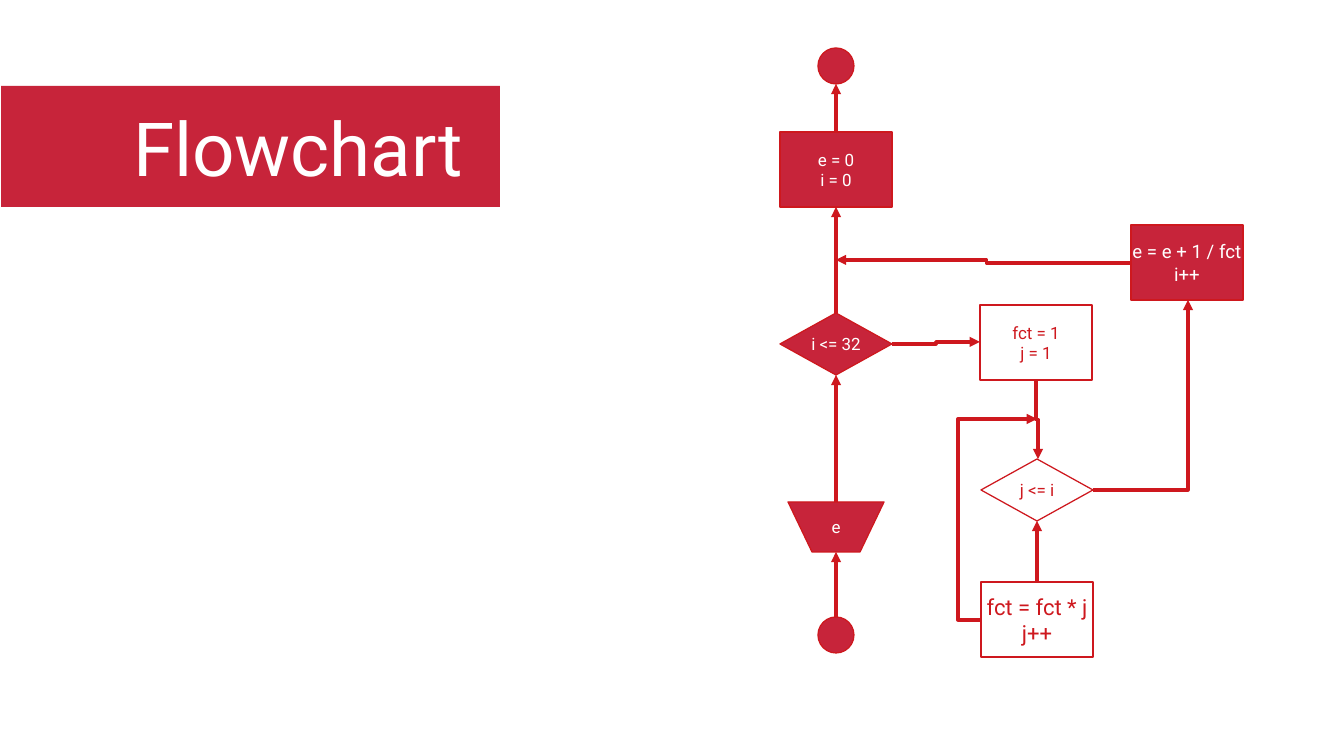
from dataclasses import dataclass

from lxml.etree import SubElement
from pptx import Presentation
from pptx.dml.color import RGBColor
from pptx.enum.shapes import MSO_CONNECTOR, MSO_SHAPE
from pptx.enum.text import MSO_ANCHOR, PP_ALIGN
from pptx.oxml.ns import qn
from pptx.util import Pt

EMU_PER_PX = 7495
MAIN_AXIS = 836
INNER_AXIS = 1037
NODE_WIDTH = 112
BOX_HEIGHT = 75
DIAMOND_HEIGHT = 62
CIRCLE_SIZE = 36


@dataclass(frozen=True)
class Theme:
    red: RGBColor = RGBColor(0xC7, 0x24, 0x3A)
    outline: RGBColor = RGBColor(0xCE, 0x18, 0x1E)
    white: RGBColor = RGBColor(0xFF, 0xFF, 0xFF)
    font: str = "Roboto"
    title: int = 44
    small: int = 10
    medium: int = 11
    large: int = 13


THEME = Theme()


def px(value):
    return round(value * EMU_PER_PX)


def apply_format(target, values):
    for attribute, value in values.items():
        setattr(target, attribute, value)


def write_lines(node, lines, size, color, align=PP_ALIGN.CENTER, **frame_format):
    frame = node.text_frame
    apply_format(frame, {"word_wrap": False, "vertical_anchor": MSO_ANCHOR.MIDDLE,
                         **frame_format})
    frame.text = "\n".join(lines)
    for paragraph in frame.paragraphs:
        paragraph.alignment = align
        apply_format(paragraph.font, {"name": THEME.font, "size": Pt(size)})
        paragraph.font.color.rgb = color


def paint(node, filled=True):
    node.shadow.inherit = False
    if filled:
        node.fill.solid()
        node.fill.fore_color.rgb = THEME.red
    else:
        node.fill.background()
    node.line.color.rgb = THEME.outline
    node.line.width = 0


def add_title(slide, text):
    banner = slide.shapes.add_shape(MSO_SHAPE.RECTANGLE, px(1), px(86), px(499), px(121))
    paint(banner)
    banner.line.fill.background()
    write_lines(banner, [text], THEME.title, THEME.white, PP_ALIGN.LEFT,
                word_wrap=True, margin_left=px(132), margin_right=0,
                margin_top=0, margin_bottom=0)


def add_node(slide, kind, center, top, width, height, lines=(), size=THEME.small, filled=True):
    node = slide.shapes.add_shape(kind, px(center - width / 2), px(top), px(width), px(height))
    paint(node, filled)
    if lines:
        write_lines(node, lines, size, THEME.white if filled else THEME.outline)


def add_box(slide, center, top, lines, **look):
    add_node(slide, MSO_SHAPE.RECTANGLE, center, top, NODE_WIDTH, BOX_HEIGHT, lines, **look)


def add_decision(slide, center, top, condition, **look):
    add_node(slide, MSO_SHAPE.DIAMOND, center, top, NODE_WIDTH, DIAMOND_HEIGHT,
             [condition], **look)


def add_terminal(slide, top):
    add_node(slide, MSO_SHAPE.OVAL, MAIN_AXIS, top, CIRCLE_SIZE, CIRCLE_SIZE)


def add_manual_step(slide, top, text):
    """Draw a trapezoid that is wider at the top."""
    bottom = top + 50
    outline = slide.shapes.build_freeform(MAIN_AXIS - 48, top, scale=EMU_PER_PX)
    outline.add_line_segments([(MAIN_AXIS + 48, top), (MAIN_AXIS + 24, bottom),
                               (MAIN_AXIS - 24, bottom)], close=True)
    step = outline.convert_to_shape()
    paint(step)
    write_lines(step, [text], THEME.small, THEME.white)


def add_arrow(slide, start, end, kind=MSO_CONNECTOR.STRAIGHT):
    arrow = slide.shapes.add_connector(kind, *map(px, (*start, *end)))
    arrow.line.color.rgb = THEME.outline
    arrow.line.width = 0
    properties = arrow._element.spPr
    SubElement(properties.find(qn("a:ln")), qn("a:tailEnd"), type="triangle")
    SubElement(properties, qn("a:effectLst"))
    return arrow


def add_elbow(slide, start, end, bend=0.5):
    """Leave sideways and turn at the given share of the width."""
    arrow = add_arrow(slide, start, end, MSO_CONNECTOR.ELBOW)
    guides = arrow._element.spPr.find(qn("a:prstGeom")).get_or_add_avLst()
    SubElement(guides, qn("a:gd"), name="adj1", fmla=f"val {round(bend * 100000)}")
    return arrow


def add_corner(slide, start, end):
    """Leave sideways and turn once."""
    arrow = add_arrow(slide, start, end, MSO_CONNECTOR.ELBOW)
    arrow._element.spPr.find(qn("a:prstGeom")).set("prst", "bentConnector2")


def add_downward_elbow(slide, start, end):
    """Turn a sideways elbow by 90 degrees about its centre."""
    (x1, y1), (x2, y2) = start, end
    center_x, center_y = (x1 + x2) / 2, (y1 + y2) / 2
    half_width, half_height = (x2 - x1) / 2, (y2 - y1) / 2
    arrow = add_elbow(slide, (center_x - half_height, center_y + half_width),
                      (center_x + half_height, center_y - half_width))
    arrow._element.spPr.find(qn("a:xfrm")).set("rot", str(90 * 60000))


def add_nodes(slide):
    for top in (48, 617):
        add_terminal(slide, top)
    add_box(slide, MAIN_AXIS, 132, ["e = 0", "i = 0"])
    add_decision(slide, MAIN_AXIS, 313, "i <= 32")
    add_manual_step(slide, 502, "e")
    add_box(slide, INNER_AXIS - 1, 305, ["fct = 1", "j = 1"], filled=False)
    add_decision(slide, INNER_AXIS, 459, "j <= i", filled=False)
    add_box(slide, INNER_AXIS, 582, ["fct = fct * j", "j++"], size=THEME.large, filled=False)
    add_box(slide, 1187, 225, ["e = e + 1 / fct", "i++"], size=THEME.medium)


def add_flow(slide):
    for axis, bottom, top in ((MAIN_AXIS, 132, 84), (MAIN_AXIS, 313, 207),
                              (MAIN_AXIS, 502, 375), (MAIN_AXIS, 617, 552),
                              (INNER_AXIS, 582, 521)):
        add_arrow(slide, (axis, bottom), (axis, top))
    add_elbow(slide, (892, 344), (980, 342))
    add_elbow(slide, (1131, 263), (MAIN_AXIS, 260), bend=0.49)
    add_elbow(slide, (981, 620), (INNER_AXIS, 419), bend=-0.41)
    add_downward_elbow(slide, (1036, 380), (1038, 459))
    add_corner(slide, (1093, 490), (1188, 300))


def main():
    deck = Presentation()
    apply_format(deck, {"slide_width": px(1344), "slide_height": px(756)})
    slide = deck.slides.add_slide(deck.slide_layouts[6])
    add_title(slide, "Flowchart")
    add_nodes(slide)
    add_flow(slide)
    deck.save("out.pptx")


if __name__ == "__main__":
    main()
